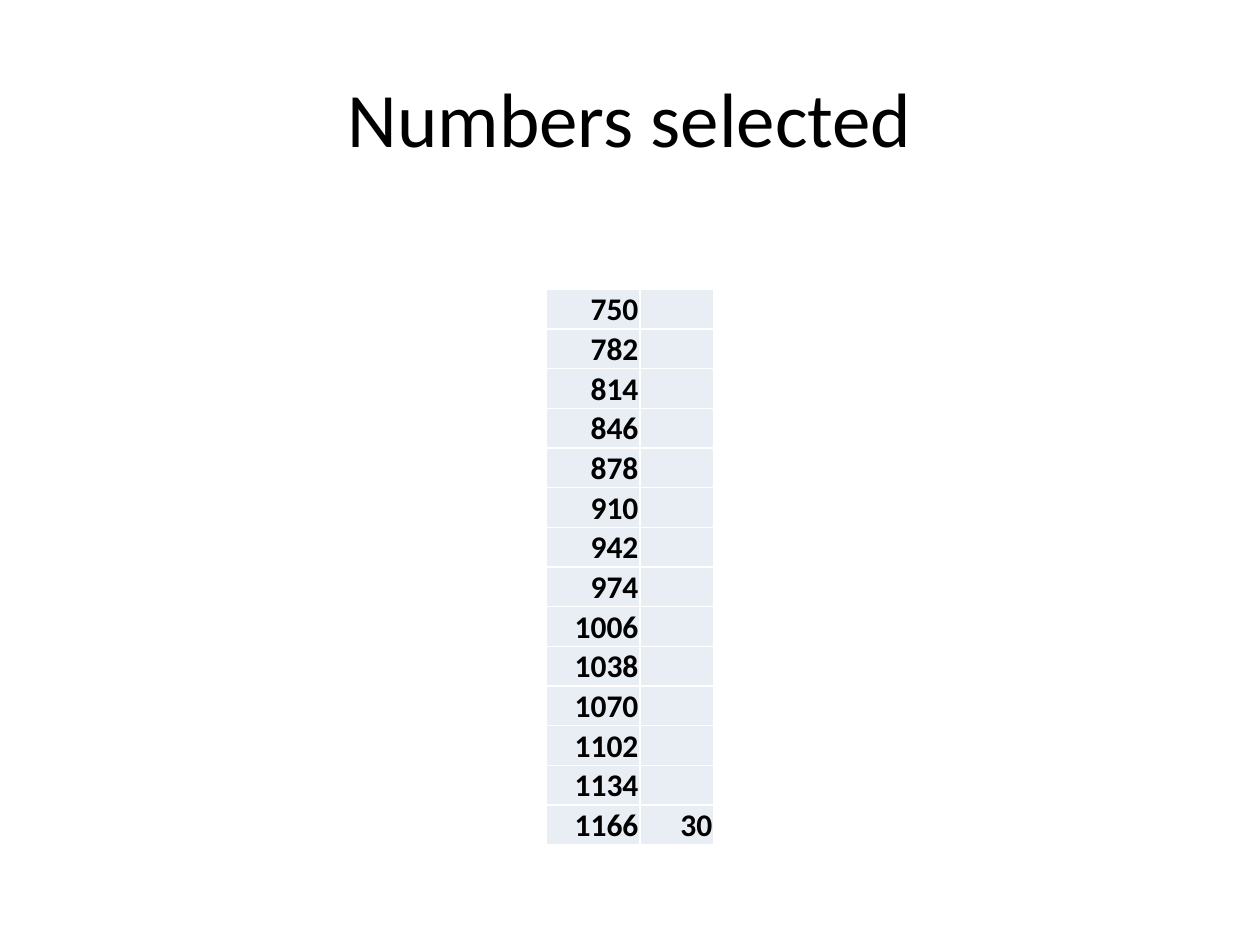
from lxml.etree import SubElement
from pptx import Presentation
from pptx.dml.color import RGBColor
from pptx.enum.text import MSO_ANCHOR, PP_ALIGN
from pptx.oxml.ns import qn
from pptx.util import Cm, Pt

BLACK = RGBColor(0x00, 0x00, 0x00)
WHITE = RGBColor(0xFF, 0xFF, 0xFF)
PALE_BLUE = RGBColor(0xE9, 0xED, 0xF4)
FONT = "Calibri"
SELECTED = range(750, 1167, 32)
COUNT = 30
COLUMN_WIDTHS = (Cm(1.89), Cm(1.49))
ROW_HEIGHT = Cm(0.8)


def add_span(paragraph, text, size, bold=False):
    span = paragraph.add_run()
    span.text = text
    span.font.name = FONT
    span.font.size = Pt(size)
    span.font.bold = bold
    span.font.color.rgb = BLACK


def add_title(page, text):
    box = page.shapes.add_textbox(Cm(1.27), Cm(0.76), Cm(22.86), Cm(3.18))
    frame = box.text_frame
    frame.word_wrap = True
    frame.vertical_anchor = MSO_ANCHOR.MIDDLE
    paragraph = frame.paragraphs[0]
    paragraph.alignment = PP_ALIGN.CENTER
    add_span(paragraph, text, 44)


def add_borders(cell, color, width):
    properties = cell._tc.get_or_add_tcPr()
    for side in ("lnL", "lnR", "lnT", "lnB"):
        line = SubElement(properties, qn(f"a:{side}"), w=str(width))
        fill = SubElement(line, qn("a:solidFill"))
        SubElement(fill, qn("a:srgbClr"), val=str(color))


def style_cell(cell):
    add_borders(cell, WHITE, Pt(1))
    cell.fill.solid()
    cell.fill.fore_color.rgb = PALE_BLUE
    cell.vertical_anchor = MSO_ANCHOR.BOTTOM
    cell.margin_left = cell.margin_right = cell.margin_top = Cm(0.03)
    cell.margin_bottom = Cm(0)


def write_number(cell, number):
    paragraph = cell.text_frame.paragraphs[0]
    paragraph.alignment = PP_ALIGN.RIGHT
    add_span(paragraph, str(number), 18, bold=True)


def add_number_table(page, numbers, count):
    table = page.shapes.add_table(
        len(numbers), len(COLUMN_WIDTHS), Cm(11.01), Cm(5.83),
        sum(COLUMN_WIDTHS), ROW_HEIGHT * len(numbers),
    ).table
    table.first_row = False
    table.horz_banding = False
    for column, width in zip(table.columns, COLUMN_WIDTHS):
        column.width = width
    for row in table.rows:
        row.height = ROW_HEIGHT
    for cell in table.iter_cells():
        style_cell(cell)
    for index, number in enumerate(numbers):
        write_number(table.cell(index, 0), number)
    write_number(table.cell(len(numbers) - 1, 1), count)


def main():
    deck = Presentation()
    deck.slide_width = Cm(25.4)
    deck.slide_height = Cm(19.05)
    page = deck.slides.add_slide(deck.slide_layouts[6])
    page.background.fill.solid()
    page.background.fill.fore_color.rgb = WHITE
    add_title(page, "Numbers selected")
    add_number_table(page, SELECTED, COUNT)
    deck.save("out.pptx")


if __name__ == "__main__":
    main()
